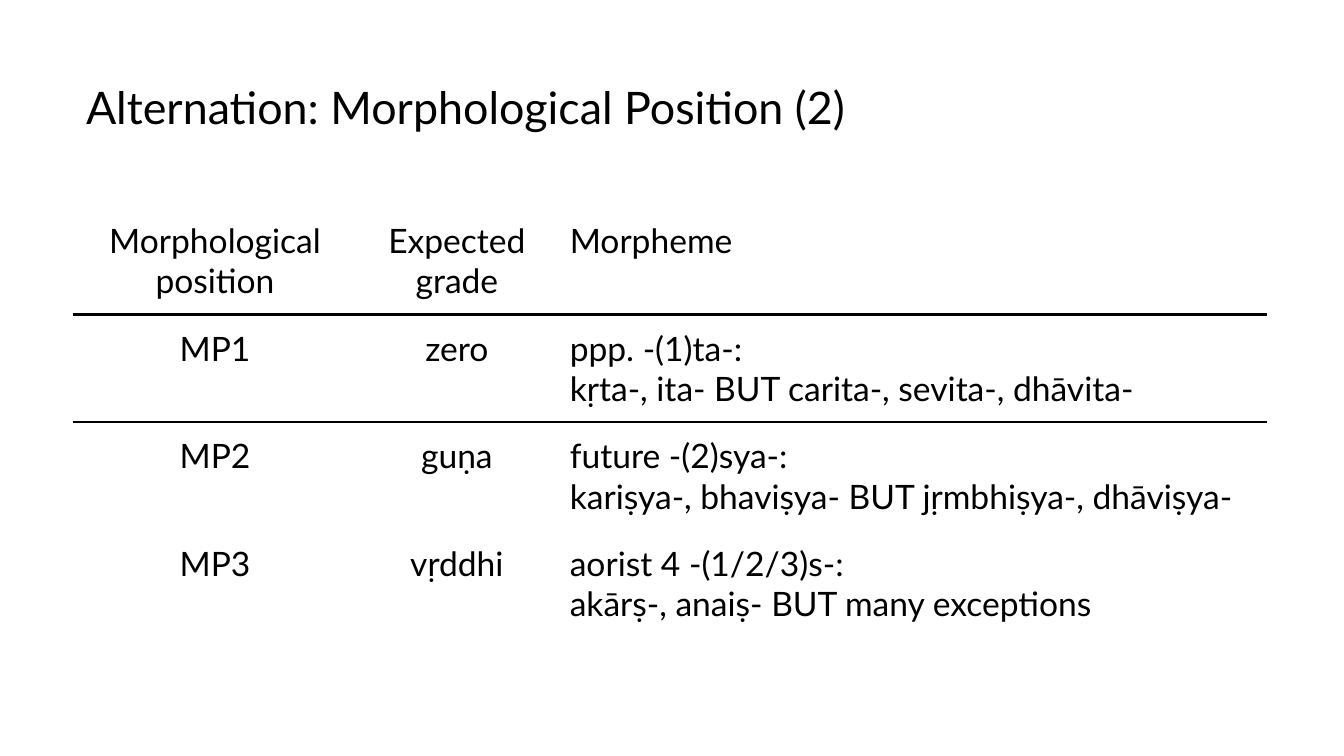
from lxml import etree
from pptx import Presentation
from pptx.dml.color import RGBColor
from pptx.enum import text
from pptx.oxml.ns import qn
from pptx.util import Pt

HEADING = "Alternation: Morphological Position (2)"
GRADES = [
    ("Morphological position", "Expected grade", "Morpheme"),
    ("MP1", "zero", "ppp. -(1)ta-:\nkṛta-, ita- BUT carita-, sevita-, dhāvita-"),
    ("MP2", "guṇa", "future -(2)sya-:\nkariṣya-, bhaviṣya- BUT jṛmbhiṣya-, dhāviṣya-"),
    ("MP3", "vṛddhi", "aorist 4 -(1/2/3)s-:\nakārṣ-, anaiṣ- BUT many exceptions"),
]
COLORS = {"ink": "000000"}
FONT = "Lato"
LEFT, HEADING_TOP, GRADES_TOP = 38.9, 35.3, 110.9
COLUMNS = [152.6, 106.6, 380.9]
ALIGNMENTS = [text.PP_ALIGN.CENTER, text.PP_ALIGN.CENTER, text.PP_ALIGN.LEFT]
ROW_HEIGHT, HEADING_HEIGHT, INSET, RULE = 57.6, 54.7, 7.2, 1.5
PLAIN_STYLE = "{2D5ABB26-0587-4C30-8999-92F81FD0307C}"


def set_all(target, values):
    for name, value in values.items():
        setattr(target, name, value)


def margins(prefix):
    return {f"{prefix}_{side}": Pt(INSET) for side in ("left", "top", "right", "bottom")}


def write(frame, words, size, align):
    frame.text = words
    for paragraph in frame.paragraphs:
        set_all(paragraph, {"alignment": align, "line_spacing": 1.0})
        set_all(paragraph.font, {"size": Pt(size), "name": FONT})
        paragraph.font.color.rgb = RGBColor.from_string(COLORS["ink"])


def add_rule(cell, edge):
    properties = cell._tc.get_or_add_tcPr()
    line = etree.Element(qn(f"a:{edge}"), w=str(Pt(RULE)))
    fill = etree.SubElement(line, qn("a:solidFill"))
    etree.SubElement(fill, qn("a:srgbClr"), val=COLORS["ink"])
    properties.insert(0, line)


deck = Presentation()
set_all(deck, {"slide_width": Pt(720), "slide_height": Pt(405)})
slide = deck.slides.add_slide(deck.slide_layouts[5])

heading = slide.shapes.title
set_all(heading, {"left": Pt(LEFT), "top": Pt(HEADING_TOP),
                  "width": Pt(sum(COLUMNS)), "height": Pt(HEADING_HEIGHT)})
set_all(heading.text_frame, {**margins("margin"), "word_wrap": True,
                             "auto_size": text.MSO_AUTO_SIZE.NONE,
                             "vertical_anchor": text.MSO_ANCHOR.TOP})
write(heading.text_frame, HEADING, 24, text.PP_ALIGN.LEFT)

grades = slide.shapes.add_table(
    len(GRADES), len(COLUMNS), Pt(LEFT), Pt(GRADES_TOP),
    Pt(sum(COLUMNS)), Pt(ROW_HEIGHT * len(GRADES))).table
set_all(grades, {"first_row": False, "horz_banding": False})
grades._tbl.tblPr.find(qn("a:tableStyleId")).text = PLAIN_STYLE
for column, width in zip(grades.columns, COLUMNS):
    column.width = Pt(width)

for r, entries in enumerate(GRADES):
    for c, (words, align) in enumerate(zip(entries, ALIGNMENTS)):
        cell = grades.cell(r, c)
        set_all(cell, {**margins("margin"), "vertical_anchor": text.MSO_ANCHOR.TOP})
        cell.fill.background()
        write(cell.text_frame, words, 18, align)
        if r < 2:
            add_rule(cell, ("lnB", "lnT")[r])

deck.save("out.pptx")
